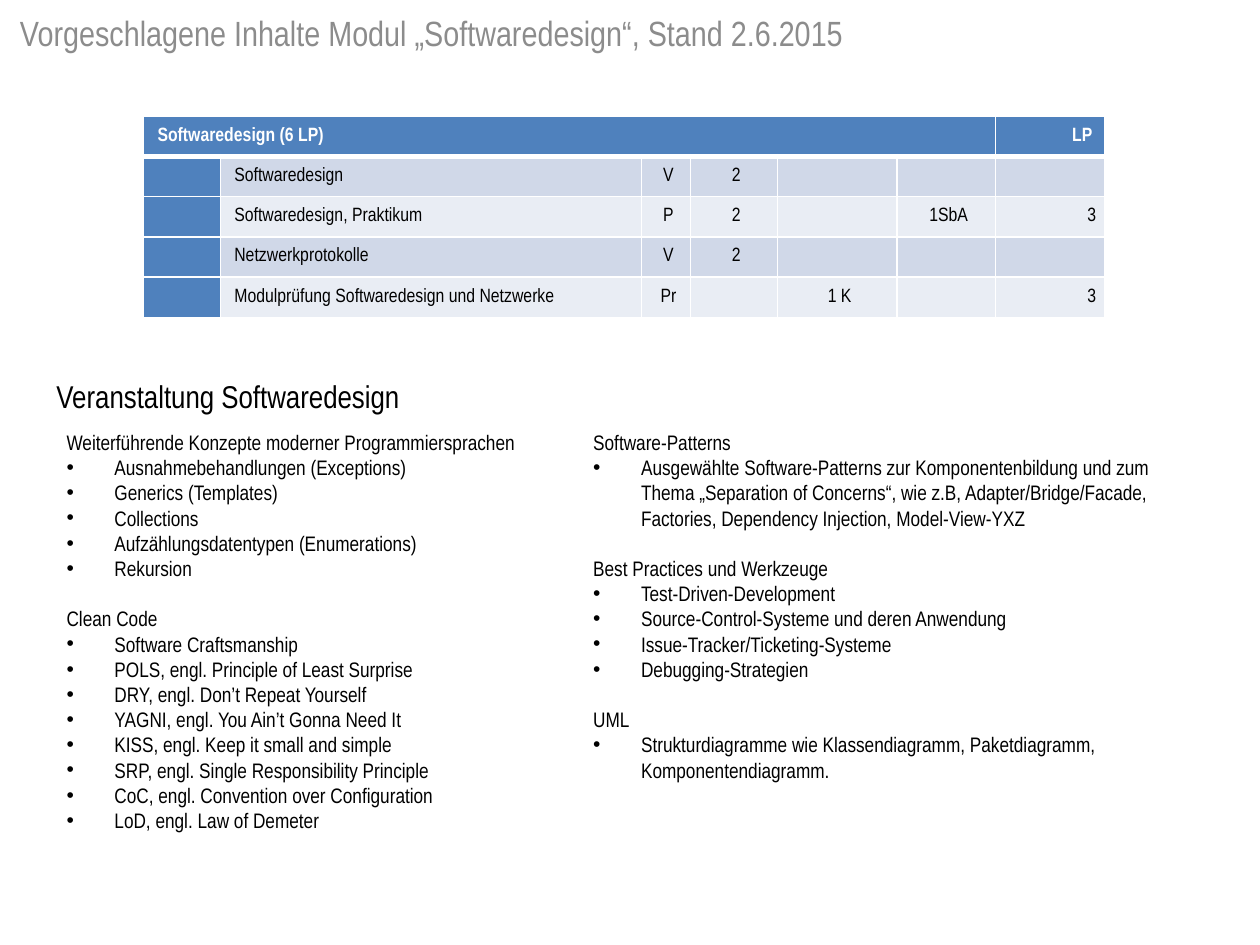
"""Build the module overview slide for Softwaredesign."""
from lxml import etree
from pptx import Presentation
from pptx.dml.color import RGBColor
from pptx.enum import text
from pptx.oxml import ns
from pptx.util import Inches, Pt

FONT = "Arial Narrow"
BLACK = RGBColor(0, 0, 0)
WHITE = RGBColor(255, 255, 255)
GRAY = RGBColor(0x8C, 0x8C, 0x8C)
BLUE = RGBColor(0x4F, 0x81, 0xBD)
BANDS = [RGBColor(0xE9, 0xED, 0xF4), RGBColor(0xD0, 0xD8, 0xE8)]
LEFT, CENTER, RIGHT, JUSTIFY = (
    text.PP_ALIGN.LEFT, text.PP_ALIGN.CENTER, text.PP_ALIGN.RIGHT, text.PP_ALIGN.JUSTIFY)


def add_run(paragraph, words, size, color, bold=False):
    run = paragraph.add_run()
    run.text = words
    run.font.name = FONT
    run.font.size = Pt(size)
    run.font.bold = bold
    run.font.color.rgb = color


def add_box(left, top, width, height, wrap=True):
    box = slide.shapes.add_textbox(Inches(left), Inches(top), Inches(width), Inches(height))
    box.text_frame.word_wrap = wrap
    return box.text_frame


presentation = Presentation()
presentation.slide_width = Inches(10)
presentation.slide_height = Inches(7.5)
slide = presentation.slides.add_slide(presentation.slide_layouts[6])

title = add_box(0.06, 0.04, 9.82, 0.48)
add_run(title.paragraphs[0], "Vorgeschlagene Inhalte Modul „Softwaredesign“, Stand 2.6.2015", 20, GRAY)

rows = [
    ["Softwaredesign (6 LP)", "", "", "", "", "", "LP"],
    ["", "Softwaredesign", "V", "2", "", "", ""],
    ["", "Softwaredesign, Praktikum", "P", "2", "", "1SbA", "3"],
    ["", "Netzwerkprotokolle", "V", "2", "", "", ""],
    ["", "Modulprüfung Softwaredesign und Netzwerke", "Pr", "", "1 K", "", "3"],
]
widths = [0.61, 3.34, 0.39, 0.69, 0.95, 0.78, 0.87]
alignments = [LEFT, LEFT, CENTER, CENTER, CENTER, CENTER, RIGHT]
table = slide.shapes.add_table(
    len(rows), len(widths), Inches(1.14), Inches(0.92), Inches(7.64), Inches(1.58)).table
for column, width in zip(table.columns, widths):
    column.width = Inches(width)
for row_index, row in enumerate(rows):
    table.rows[row_index].height = Inches(0.32)
    header = row_index == 0
    for column_index, words in enumerate(row):
        cell = table.cell(row_index, column_index)
        cell.margin_left = Inches(0.11)
        cell.margin_right = Inches(0.1 if header else 0.07)
        cell.margin_top = cell.margin_bottom = 0
        cell.vertical_anchor = text.MSO_ANCHOR.MIDDLE
        properties = cell._tc.get_or_add_tcPr()
        for side in "LRTB":
            thick = (row_index, side) in [(0, "B"), (1, "T")]
            line = etree.SubElement(properties, ns.qn("a:ln" + side), w=str(Pt(3 if thick else 1)))
            fill = etree.SubElement(line, ns.qn("a:solidFill"))
            etree.SubElement(fill, ns.qn("a:srgbClr"), val=str(WHITE))
        cell.fill.solid()
        cell.fill.fore_color.rgb = BLUE if header or column_index == 0 else BANDS[row_index % 2]
        if words:
            paragraph = cell.text_frame.paragraphs[0]
            paragraph.alignment = alignments[column_index]
            paragraph.space_after = Pt(3)
            add_run(paragraph, words, 11, WHITE if header else BLACK, header)
table.cell(0, 0).merge(table.cell(0, 5))

heading = add_box(0.35, 2.94, 3.27, 0.4, wrap=False)
add_run(heading.paragraphs[0], "Veranstaltung Softwaredesign", 18, BLACK)

topics_left = {
    "Weiterführende Konzepte moderner Programmiersprachen": [
        "Ausnahmebehandlungen (Exceptions)",
        "Generics (Templates)",
        "Collections",
        "Aufzählungsdatentypen (Enumerations)",
        "Rekursion",
    ],
    "Clean Code": [
        "Software Craftsmanship",
        "POLS, engl. Principle of Least Surprise",
        "DRY, engl. Don’t Repeat Yourself",
        "YAGNI, engl. You Ain’t Gonna Need It",
        "KISS, engl. Keep it small and simple",
        "SRP, engl. Single Responsibility Principle",
        "CoC, engl. Convention over Configuration",
        "LoD, engl. Law of Demeter",
    ],
}
topics_right = {
    "Software-Patterns": [
        "Ausgewählte Software-Patterns zur Komponentenbildung und zum Thema "
        "„Separation of Concerns“, wie z.B, Adapter/Bridge/Facade, Factories, "
        "Dependency Injection, Model-View-YXZ",
    ],
    "Best Practices und Werkzeuge": [
        "Test-Driven-Development",
        "Source-Control-Systeme und deren Anwendung",
        "Issue-Tracker/Ticketing-Systeme",
        "Debugging-Strategien",
    ],
    "UML": ["Strukturdiagramme wie Klassendiagramm, Paketdiagramm, Komponentendiagramm."],
}
for topics, left, width, height, alignment in [
    (topics_left, 0.43, 4.31, 3.33, JUSTIFY),
    (topics_right, 4.61, 5, 2.93, LEFT),
]:
    frame = add_box(left, 3.36, width, height)
    for topic_index, (topic, points) in enumerate(topics.items()):
        paragraph = frame.add_paragraph() if topic_index else frame.paragraphs[0]
        if topic_index:
            paragraph.space_before = Pt(14.4)
        add_run(paragraph, topic, 12, BLACK)
        for point in points:
            paragraph = frame.add_paragraph()
            paragraph.alignment = alignment
            properties = paragraph._p.get_or_add_pPr()
            properties.set("marL", str(Inches(0.38)))
            properties.set("indent", str(Inches(-0.38)))
            etree.SubElement(properties, ns.qn("a:buFont"), typeface="Arial")
            etree.SubElement(properties, ns.qn("a:buChar"), char="•")
            add_run(paragraph, point, 12, BLACK)

presentation.save("out.pptx")
